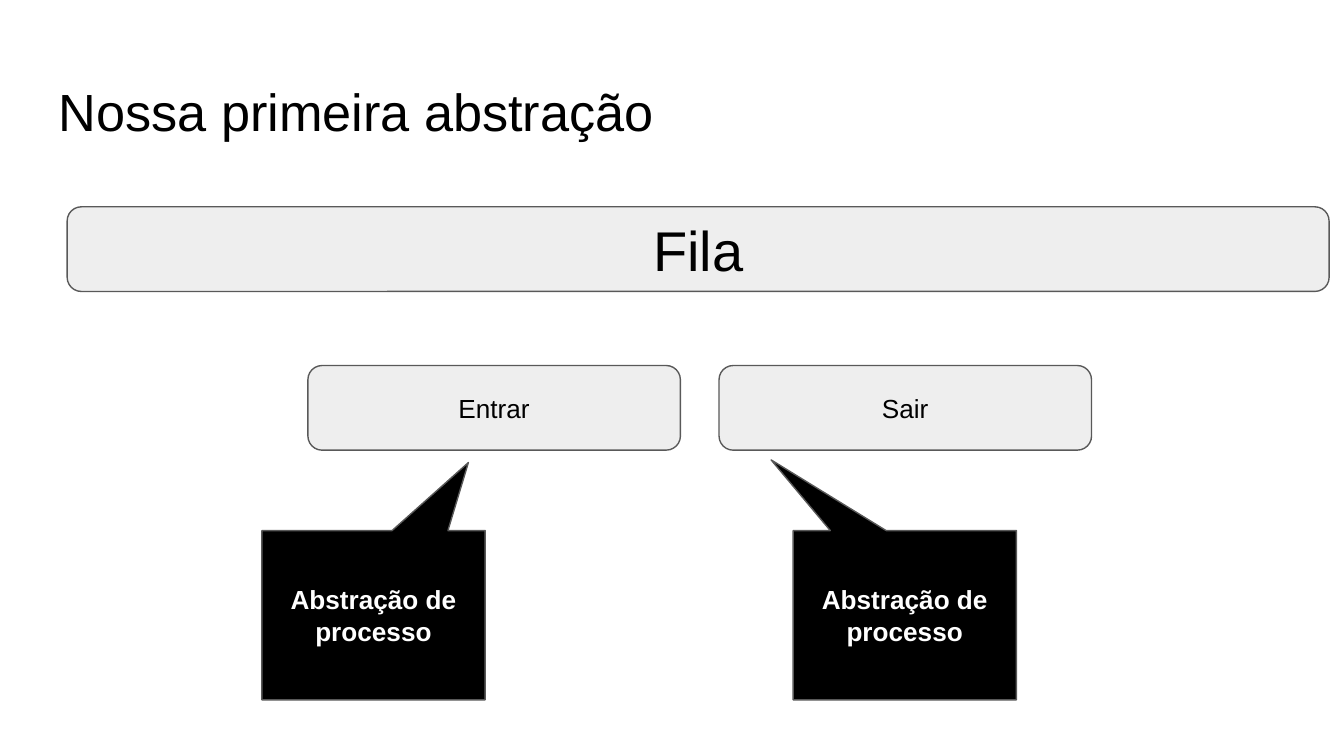
from dataclasses import dataclass

import pptx
import pptx.dml.color
import pptx.enum.shapes
import pptx.enum.text
import pptx.slide
import pptx.text.text
import pptx.util
from pptx.dml.color import RGBColor
from pptx.enum.shapes import MSO_SHAPE
from pptx.util import Cm

BLACK = RGBColor(0x00, 0x00, 0x00)
WHITE = RGBColor(0xFF, 0xFF, 0xFF)
LIGHT_GRAY = RGBColor(0xEE, 0xEE, 0xEE)
OUTLINE_GRAY = RGBColor(0x59, 0x59, 0x59)

FONT_NAME = "Arial"
INSET = Cm(0.25)
BAR_HEIGHT = 1.6
OPERATION_TOP = 6.91
OPERATION_WIDTH = 7.04
CALLOUT_TOP = 10.03
CALLOUT_WIDTH = 4.22
CALLOUT_HEIGHT = 3.2


@dataclass
class Bar:
    """A rounded bar; lengths in centimetres."""
    text: str
    left: float
    top: float
    width: float
    size: int


@dataclass
class Callout:
    """A callout whose tip is given relative to its centre."""
    left: float
    tip_x: float
    tip_y: float


BARS = [
    Bar("Fila", 1.27, 3.91, 23.85, 30),
    Bar("Entrar", 5.82, OPERATION_TOP, OPERATION_WIDTH, 14),
    Bar("Sair", 13.59, OPERATION_TOP, OPERATION_WIDTH, 14),
]
CALLOUTS = [Callout(4.95, 0.425, -0.902), Callout(14.99, -0.599, -0.918)]


def write_text(frame: pptx.text.text.TextFrame, text: str, size: int,
               color: RGBColor, alignment: pptx.enum.text.PP_ALIGN,
               anchor: pptx.enum.text.MSO_ANCHOR, bold: bool = False) -> None:
    frame.word_wrap = True
    frame.auto_size = pptx.enum.text.MSO_AUTO_SIZE.NONE
    frame.vertical_anchor = anchor
    frame.margin_left = frame.margin_right = INSET
    frame.margin_top = frame.margin_bottom = INSET
    paragraph = frame.paragraphs[0]
    paragraph.alignment = alignment
    paragraph.line_spacing = 1.0
    paragraph.space_before = pptx.util.Pt(0)
    run = paragraph.add_run()
    run.text = text
    run.font.name = FONT_NAME
    run.font.size = pptx.util.Pt(size)
    run.font.bold = bold
    run.font.color.rgb = color


def add_box(slide: pptx.slide.Slide, kind: MSO_SHAPE, left: float, top: float,
            width: float, height: float, adjustments: list[float],
            fill: RGBColor, text: str, size: int, text_color: RGBColor,
            bold: bool = False) -> None:
    shape = slide.shapes.add_shape(kind, Cm(left), Cm(top), Cm(width), Cm(height))
    shape.shadow.inherit = False
    for index, value in enumerate(adjustments):
        shape.adjustments[index] = value
    shape.fill.solid()
    shape.fill.fore_color.rgb = fill
    shape.line.color.rgb = OUTLINE_GRAY
    shape.line.width = pptx.util.Pt(0.75)
    write_text(shape.text_frame, text, size, text_color,
               pptx.enum.text.PP_ALIGN.CENTER, pptx.enum.text.MSO_ANCHOR.MIDDLE, bold)


def add_bar(slide: pptx.slide.Slide, bar: Bar) -> None:
    add_box(slide, MSO_SHAPE.ROUNDED_RECTANGLE, bar.left, bar.top, bar.width,
            BAR_HEIGHT, [0.167], LIGHT_GRAY, bar.text, bar.size, BLACK)


def add_callout(slide: pptx.slide.Slide, callout: Callout) -> None:
    add_box(slide, MSO_SHAPE.RECTANGULAR_CALLOUT, callout.left, CALLOUT_TOP,
            CALLOUT_WIDTH, CALLOUT_HEIGHT, [callout.tip_x, callout.tip_y],
            BLACK, "Abstração de processo", 14, WHITE, bold=True)


def main() -> None:
    presentation = pptx.Presentation()
    presentation.slide_width = Cm(25.4)
    presentation.slide_height = Cm(14.29)
    slide = presentation.slides.add_slide(presentation.slide_layouts.get_by_name("Title Only"))
    slide.background.fill.solid()
    slide.background.fill.fore_color.rgb = WHITE

    # Title
    title = slide.shapes.title
    title.left, title.top = Cm(0.86), Cm(1.24)
    title.width, title.height = Cm(23.67), Cm(BAR_HEIGHT)
    write_text(title.text_frame, "Nossa primeira abstração", 28, BLACK,
               pptx.enum.text.PP_ALIGN.LEFT, pptx.enum.text.MSO_ANCHOR.TOP)

    # Queue and its operations
    for bar in BARS:
        add_bar(slide, bar)

    # Callouts pointing at the operations
    for callout in CALLOUTS:
        add_callout(slide, callout)

    presentation.save("out.pptx")


if __name__ == "__main__":
    main()
